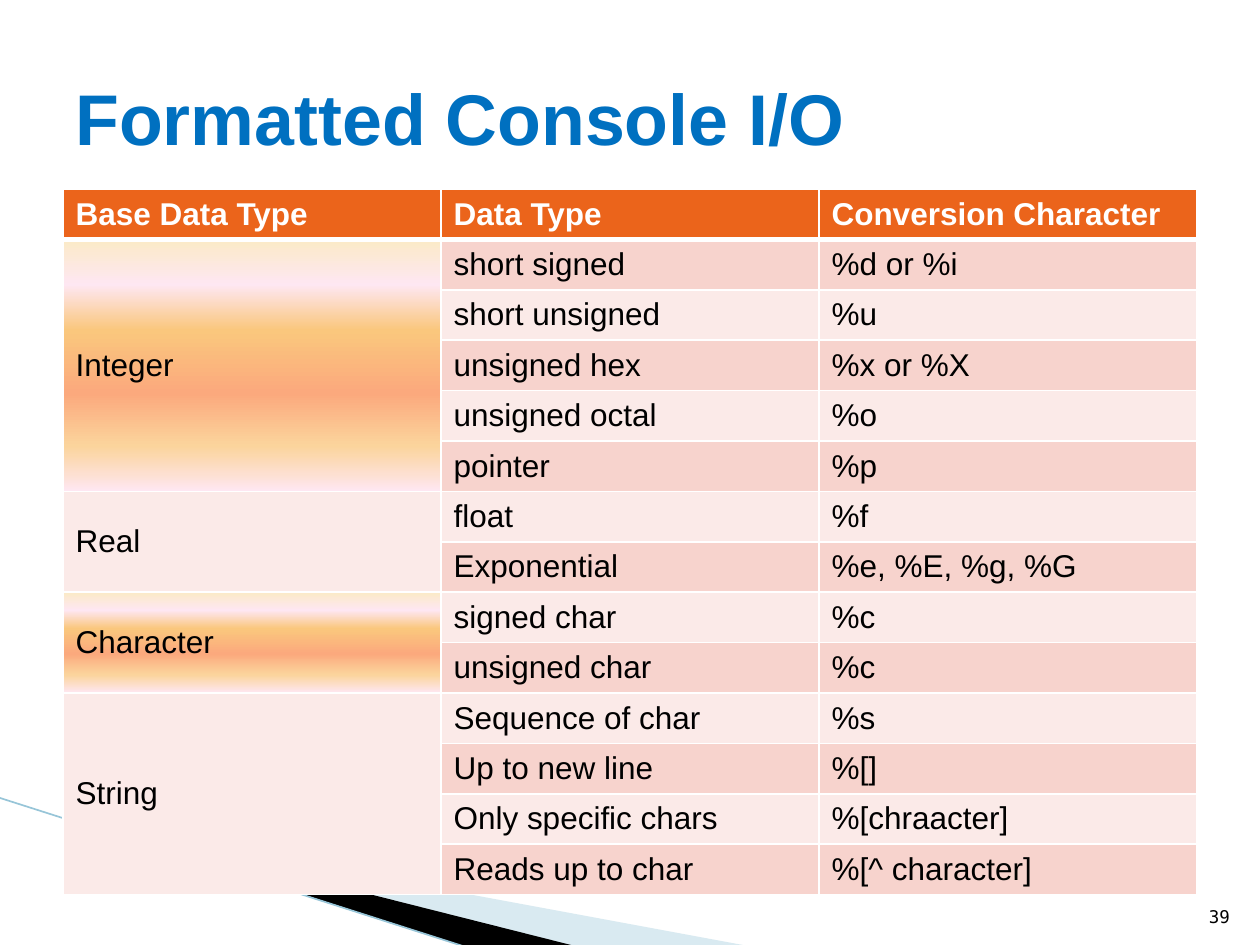
from dataclasses import dataclass, field
from typing import Any

from lxml import etree
from pptx import Presentation, util as u
from pptx.dml import color
from pptx.enum import shapes, text
from pptx.oxml import ns

COLUMNS, ROWS = 20, 15
STEP = u.Inches(0.5)
COLORS = {
    "title": "0070C0",
    "header": "EB641B",
    "band": "F7D3CD",
    "pale": "FBEAE8",
    "white": "FFFFFF",
    "black": "000000",
    "sweep": "A0CBDC",
    "edge": "97C5D8",
}
GRADIENT = [(0, "FBEAC7"), (18, "FEE7F2"), (36, "FAC77D"),
            (61, "FBA97D"), (82, "FBD49C"), (100, "FEE7F2")]
HEADINGS = ("Base Data Type", "Data Type", "Conversion Character")


@dataclass
class Group:
    name: str
    entries: list[tuple[str, str]]
    glowing: bool = False


@dataclass
class Label:
    words: str
    area: tuple[float, float, float, float]
    anchor: Any
    align: Any
    font: dict[str, Any]


@dataclass
class Sweep:
    points: list[tuple[float, float]]
    fill: str
    opacity: int = field(default=100)


GROUPS = [
    Group("Integer", [("short signed", "%d or %i"), ("short unsigned", "%u"),
                      ("unsigned hex", "%x or %X"), ("unsigned octal", "%o"),
                      ("pointer", "%p")], True),
    Group("Real", [("float", "%f"), ("Exponential", "%e, %E, %g, %G")]),
    Group("Character", [("signed char", "%c"), ("unsigned char", "%c")], True),
    Group("String", [("Sequence of char", "%s"), ("Up to new line", "%[]"),
                     ("Only specific chars", "%[chraacter]"),
                     ("Reads up to char", "%[^ character]")]),
]
SWEEPS = [
    Sweep([(1.1, 13.02), (11.9, 15.02), (9.12, 15.02), (1.1, 13)], "sweep", 40),
    Sweep([(1.06, 12.98), (9.14, 15.02), (7.44, 15.04), (1.08, 13)], "black"),
]
LABELS = [
    Label("39", (18.92, 14.02, 0.8, 0.8), text.MSO_ANCHOR.BOTTOM, text.PP_ALIGN.RIGHT,
          {"name": "DejaVu Sans Mono", "size": u.Pt(10), "color": "black"}),
    Label("Formatted Console I/O", (1, 0.6, 18, 2.5), text.MSO_ANCHOR.MIDDLE,
          text.PP_ALIGN.LEFT,
          {"name": "Arial", "size": u.Pt(41), "bold": True, "color": "title"}),
]


def grid(*steps: float) -> list[int]:
    return [round(step * STEP) for step in steps]


def rgb(name: str) -> color.RGBColor:
    return color.RGBColor.from_string(COLORS[name])


def add_child(parent: Any, tag: str, **attributes: Any) -> Any:
    values = {key: str(value) for key, value in attributes.items()}
    return etree.SubElement(parent, ns.qn(tag), values)


def format_font(font: Any, values: dict[str, Any]) -> None:
    for key, value in values.items():
        if key == "color":
            font.color.rgb = rgb(value)
        else:
            setattr(font, key, value)


def draw_sweep(page: Any, sweep: Sweep) -> None:
    points = [grid(*point) for point in sweep.points]
    builder = page.shapes.build_freeform(*points[0])
    builder.add_line_segments(points[1:], close=True)
    shape = builder.convert_to_shape()
    shape.shadow.inherit = False
    shape.fill.solid()
    shape.fill.fore_color.rgb = rgb(sweep.fill)
    shape.line.fill.background()
    if sweep.opacity < 100:
        tint = shape.fill._xPr.find(".//" + ns.qn("a:srgbClr"))
        add_child(tint, "a:alpha", val=sweep.opacity * 1000)


def draw_edge(page: Any) -> None:
    line = page.shapes.add_connector(
        shapes.MSO_CONNECTOR.STRAIGHT, *grid(-0.02, 12.66, 7.42, 15.04))
    line.line.color.rgb = rgb("edge")
    line.line.width = u.Pt(0.95)
    add_child(line._element.spPr, "a:effectLst")


def draw_label(page: Any, label: Label) -> None:
    box = page.shapes.add_textbox(*grid(*label.area))
    frame = box.text_frame
    frame.word_wrap = True
    frame.vertical_anchor = label.anchor
    para = frame.paragraphs[0]
    para.alignment = label.align
    span = para.add_run()
    span.text = label.words
    format_font(span.font, label.font)


def add_borders(cell: Any, top: int, bottom: int) -> None:
    properties = cell._tc.get_or_add_tcPr()
    for side, width in {"L": 1, "R": 1, "T": top, "B": bottom}.items():
        line = add_child(properties, f"a:ln{side}", w=u.Pt(width))
        add_child(add_child(line, "a:solidFill"), "a:srgbClr", val=COLORS["white"])


def fill_gradient(cell: Any) -> None:
    fill = add_child(cell._tc.get_or_add_tcPr(), "a:gradFill", rotWithShape=1)
    stops = add_child(fill, "a:gsLst")
    for position, shade in GRADIENT:
        add_child(add_child(stops, "a:gs", pos=position * 1000), "a:srgbClr", val=shade)
    add_child(fill, "a:lin", ang=90 * 60000, scaled=0)


def write_cell(cell: Any, words: str, fill: str, heading: bool = False) -> None:
    cell.vertical_anchor = text.MSO_ANCHOR.MIDDLE
    span = cell.text_frame.paragraphs[0].add_run()
    span.text = words
    format_font(span.font, {"name": "Arial", "size": u.Pt(18), "bold": heading,
                            "color": "white" if heading else "black"})
    if fill == "gradient":
        fill_gradient(cell)
    else:
        cell.fill.solid()
        cell.fill.fore_color.rgb = rgb(fill)


def draw_table(page: Any) -> None:
    count = 1 + sum(len(group.entries) for group in GROUPS)
    table = page.shapes.add_table(
        count, len(HEADINGS), *grid(1, 3, 18, 0.8 * count)).table
    for row in range(count):
        for column in range(len(HEADINGS)):
            add_borders(table.cell(row, column), 3 if row == 1 else 1, 3 if row == 0 else 1)
    for column, heading in enumerate(HEADINGS):
        write_cell(table.cell(0, column), heading, "header", True)
    row = 1
    for group in GROUPS:
        first = table.cell(row, 0)
        first.merge(table.cell(row + len(group.entries) - 1, 0))
        write_cell(first, group.name, "gradient" if group.glowing else "pale")
        for entry in group.entries:
            for column, words in enumerate(entry, 1):
                write_cell(table.cell(row, column), words, "band" if row % 2 else "pale")
            row += 1


def main() -> None:
    deck = Presentation()
    deck.slide_width, deck.slide_height = grid(COLUMNS, ROWS)
    page = deck.slides.add_slide(deck.slide_layouts[6])
    for sweep in SWEEPS:
        draw_sweep(page, sweep)
    draw_edge(page)
    draw_table(page)
    for label in LABELS:
        draw_label(page, label)
    deck.save("out.pptx")


if __name__ == "__main__":
    main()
